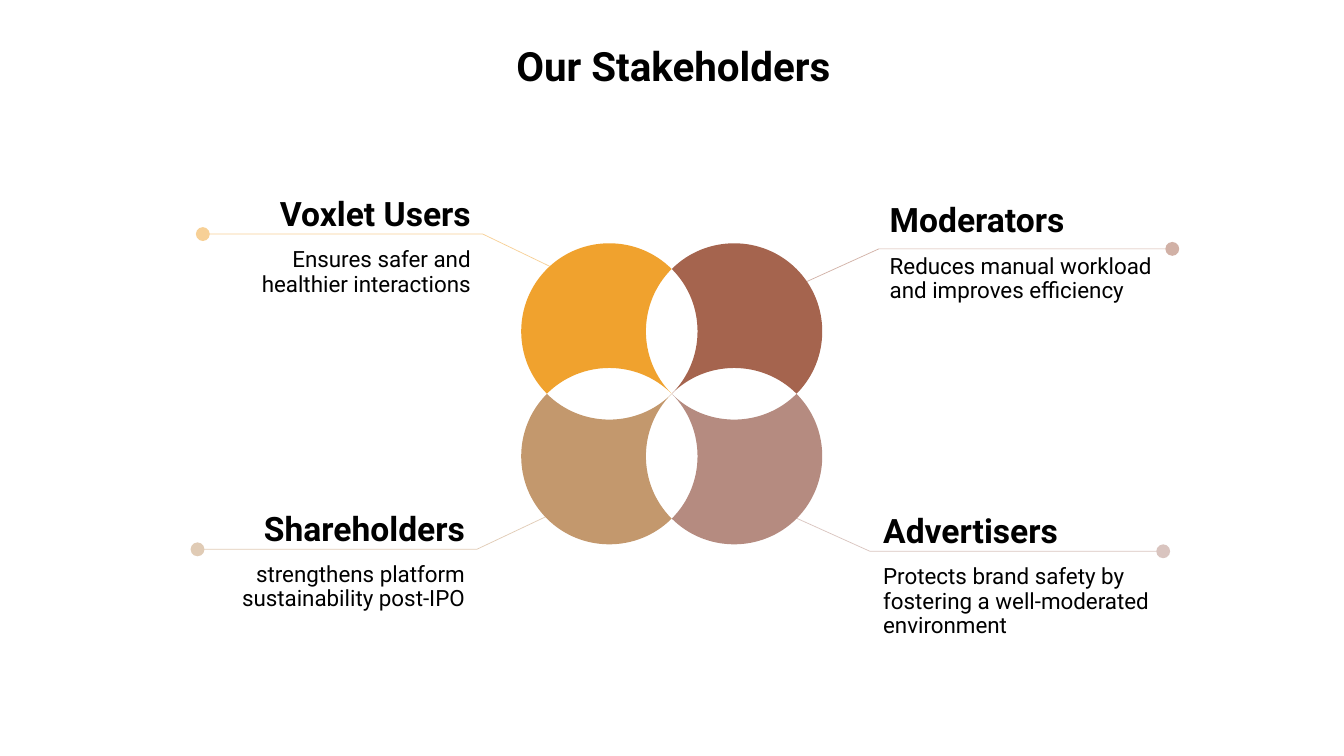
import pptx
import pptx.util
import pptx.dml.color
import pptx.enum.text
import pptx.oxml.ns
import lxml.etree

Pt = pptx.util.Pt
align = pptx.enum.text.PP_ALIGN
qn = pptx.oxml.ns.qn


def color(code):
    return pptx.dml.color.RGBColor.from_string(code)


def write(par, text, size, bold=False, side=align.LEFT, before=0):
    par.alignment = side
    par.line_spacing = 0.9
    par.space_before = Pt(before)
    run = par.add_run()
    run.text = text
    run.font.name = "Roboto"
    run.font.size = Pt(size)
    run.font.bold = bold
    run.font.color.rgb = color("000000")


deck = pptx.Presentation()
deck.slide_width, deck.slide_height = Pt(960), Pt(540)
slide = deck.slides.add_slide(deck.slide_layouts[5])
shapes = slide.shapes

title = shapes.title
title.left, title.top, title.width, title.height = Pt(67), Pt(28.8), Pt(828), Pt(40.3)
title.text_frame.vertical_anchor = pptx.enum.text.MSO_ANCHOR.MIDDLE
write(title.text_frame.paragraphs[0], "Our Stakeholders", 28.8, True, align.CENTER)

# Name, detail, colour, text side, line points, text box
groups = [
    ("Voxlet Users", "Ensures safer and healthier interactions", "F0A22E", align.RIGHT,
     [(395.3, 191.5), (344.9, 167.2), (144.9, 167.2)], (166.4, 137.5, 179.3, 79.2)),
    ("Moderators", "Reduces manual workload and improves efficiency", "A5644E", align.LEFT,
     [(575.3, 201.6), (627.8, 177.8), (837.4, 177.8)], (626.1, 142, 224.6, 79.2)),
    ("Shareholders", "strengthens platform sustainability post-IPO", "C3986D", align.RIGHT,
     [(391, 368.6), (340.6, 392.4), (141.1, 392.4)], (144.9, 362.2, 196.6, 79.2)),
    ("Advertisers", "Protects brand safety by fostering a well-moderated environment",
     "B58B80", align.LEFT,
     [(568.8, 370.1), (621.4, 393.8), (830.9, 393.8)], (621.4, 363.8, 224.6, 97.2)),
]

for name, detail, hue, side, points, area in groups:
    # Leader line with a round end
    dots = [(Pt(x), Pt(y)) for x, y in points]
    pen = shapes.build_freeform(*dots[0])
    pen.add_line_segments(dots[1:], close=False)
    leader = pen.convert_to_shape()
    leader.shadow.inherit = False
    leader.fill.background()
    leader.line.width = Pt(0.5)
    leader.line.color.rgb = color(hue)
    edge = leader.line._get_or_add_ln()
    tint = edge.find(".//" + qn("a:srgbClr"))
    lxml.etree.SubElement(tint, qn("a:alpha"), val="50000")
    lxml.etree.SubElement(edge, qn("a:tailEnd"), type="oval", w="lg", len="lg")

    # Name and detail
    box = shapes.add_textbox(*[Pt(n) for n in area])
    frame = box.text_frame
    frame.word_wrap = True
    frame.auto_size = pptx.enum.text.MSO_AUTO_SIZE.SHAPE_TO_FIT_TEXT
    frame.margin_left = frame.margin_right = Pt(9.4)
    write(frame.paragraphs[0], name, 24, True, side, 10.7)
    write(frame.add_paragraph(), detail, 16, False, side, 10.7)

# Four petals around a hub, each turned by 45 degrees
hub_x, hub_y = 479.8, 281.3
gap = 44.6
radius = 63
bend = 0.55  # handle length of a quarter circle
corners = [(0, -1), (1, 0), (0, 1), (-1, 0)]
# Side of the hub (x, y) and the corner that points at the hub
petals = [(-1, -1, 1), (1, -1, 2), (-1, 1, 0), (1, 1, 3)]

for group, (side_x, side_y, tip) in zip(groups, petals):
    mid_x, mid_y = hub_x + side_x * gap, hub_y + side_y * gap
    dots = [(Pt(mid_x + radius * x), Pt(mid_y + radius * y)) for x, y in corners]
    pen = shapes.build_freeform(*dots[0])
    pen.add_line_segments(dots[1:] + dots[:1], close=True)
    petal = pen.convert_to_shape()
    petal.rotation = 45
    petal.shadow.inherit = False
    petal.fill.solid()
    petal.fill.fore_color.rgb = color(group[2])
    petal.line.fill.background()

    # Bend each edge to a quarter circle, inward next to the tip
    for start, edge in enumerate(list(petal._element.iter(qn("a:lnTo")))):
        end = (start + 1) % 4
        (ax, ay), (bx, by) = corners[start], corners[end]
        if tip in (start, end):
            hands = [(ax * (1 - bend), ay * (1 - bend)), (bx * (1 - bend), by * (1 - bend))]
        else:
            hands = [(ax + bend * bx, ay + bend * by), (bx + bend * ax, by + bend * ay)]
        edge.addprevious(curve := lxml.etree.Element(qn("a:cubicBezTo")))
        for x, y in hands + [(bx, by)]:
            lxml.etree.SubElement(curve, qn("a:pt"), x=str(Pt(radius * (1 + x))),
                                  y=str(Pt(radius * (1 + y))))
        edge.getparent().remove(edge)

deck.save("out.pptx")
